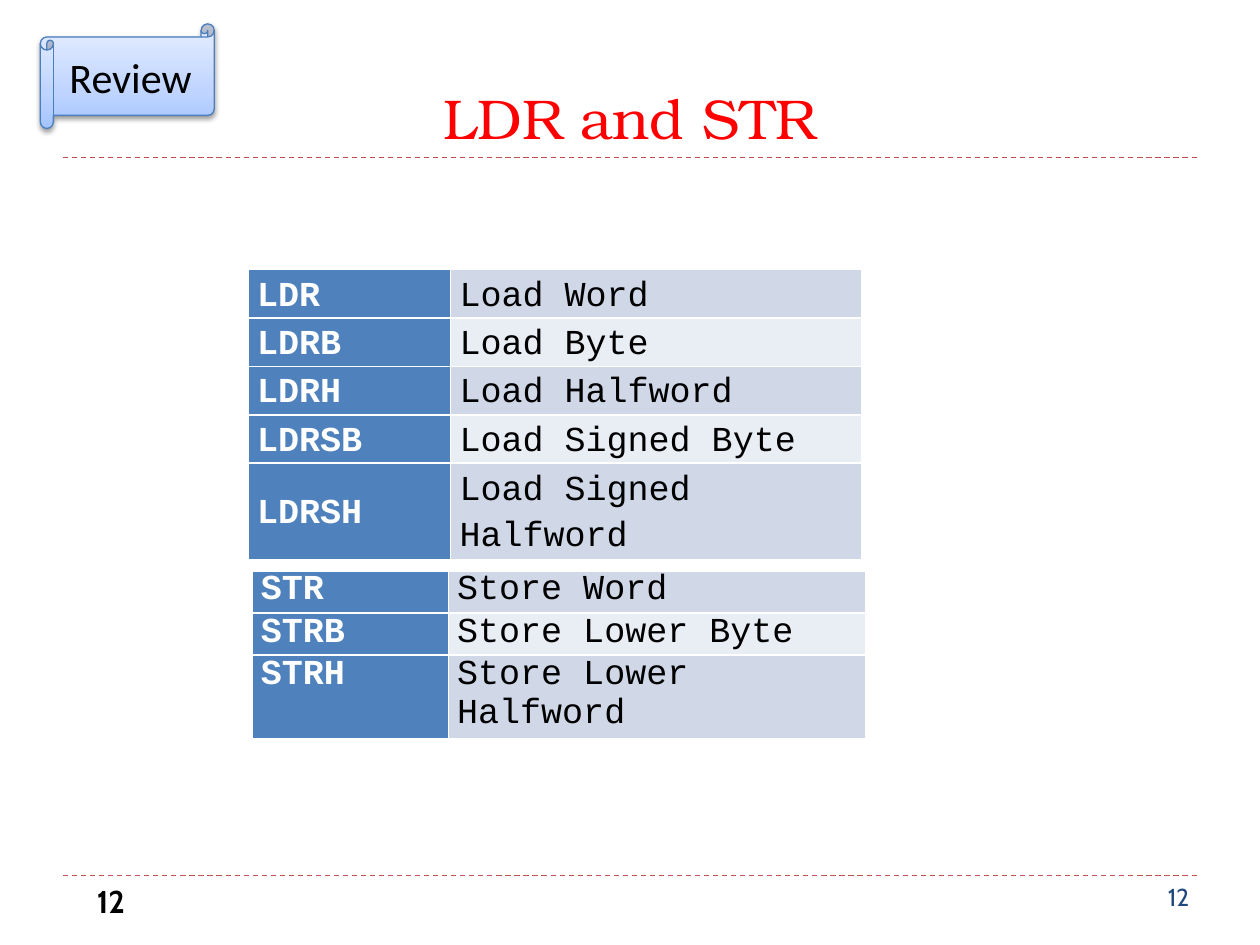
from lxml import etree
from pptx import Presentation
from pptx.dml.color import RGBColor
from pptx.enum.dml import MSO_LINE
from pptx.enum.shapes import MSO_CONNECTOR, MSO_SHAPE
from pptx.enum.text import MSO_ANCHOR, PP_ALIGN
from pptx.oxml import parse_xml
from pptx.oxml.ns import nsdecls, qn
from pptx.util import Inches, Pt

DASH = MSO_LINE.DASH
STRAIGHT = MSO_CONNECTOR.STRAIGHT
SCROLL = MSO_SHAPE.HORIZONTAL_SCROLL
TOP, MIDDLE, BOTTOM = MSO_ANCHOR.TOP, MSO_ANCHOR.MIDDLE, MSO_ANCHOR.BOTTOM
LEFT, CENTER = PP_ALIGN.LEFT, PP_ALIGN.CENTER

WIDTH, HEIGHT = Inches(10), Inches(7.5)
COLUMN, ROW = WIDTH // 100, HEIGHT // 75

COLORS = {
    "title": "FF0000", "rule": "C0504D", "number": "1F497D", "text": "000000",
    "white": "FFFFFF", "key": "4F81BD", "band": "D0D8E8", "light": "E9EDF4",
    "scroll_line": "4B7EBC", "scroll_low": "A4C4FF", "scroll_mid": "BFD4FF",
    "scroll_high": "E6EEFF",
}

LOADS = [("LDR", "Load Word"), ("LDRB", "Load Byte"), ("LDRH", "Load Halfword"),
         ("LDRSB", "Load Signed Byte"), ("LDRSH", "Load Signed Halfword")]
STORES = [("STR", "Store Word"), ("STRB", "Store Lower Byte"),
          ("STRH", "Store Lower Halfword")]


def color(name):
    return RGBColor.from_string(COLORS[name])


def place(left, top, width, height):
    return [round(left * COLUMN), round(top * ROW),
            round(width * COLUMN), round(height * ROW)]


def write(frame, text, *, font, size, ink="text", bold=False, align=LEFT,
          anchor=TOP, spacing=None):
    frame.word_wrap = True
    frame.vertical_anchor = anchor
    para = frame.paragraphs[0]
    para.alignment = align
    para.line_spacing = spacing
    span = para.add_run()
    span.text = text
    span.font.name = font
    span.font.size = Pt(size)
    span.font.bold = bold
    span.font.color.rgb = color(ink)


def add_title(page, box, text):
    title = page.shapes.title
    title.left, title.top, title.width, title.height = box
    write(title.text_frame, text, font="TeX Gyre Bonum", size=32, ink="title",
          align=CENTER, anchor=BOTTOM)


def add_rule(page, box):
    left, top, width, height = box
    rule = page.shapes.add_connector(STRAIGHT, left, top, left + width, top + height)
    rule.line.color.rgb = color("rule")
    rule.line.width = Pt(0.75)
    rule.line.dash_style = DASH
    etree.SubElement(rule._element.spPr, qn("a:effectLst"))


def add_number(page, box, text, **style):
    number = page.shapes.add_textbox(*box)
    write(number.text_frame, text, font="Cabin", **style)


def add_borders(cell):
    properties = cell._tc.get_or_add_tcPr()
    for position, side in enumerate(("lnL", "lnR", "lnT", "lnB")):
        properties.insert(position, parse_xml(
            f'<a:{side} {nsdecls("a")} w="12700"><a:solidFill>'
            f'<a:srgbClr val="{COLORS["white"]}"/></a:solidFill></a:{side}>'))


def add_instructions(page, box, entries, key_share, anchor, spacing=None):
    width, height = box[2:]
    table = page.shapes.add_table(len(entries), 2, *box).table
    table.first_row = table.horz_banding = False
    table.columns[0].width = round(width * key_share)
    table.columns[1].width = width - table.columns[0].width
    line_height = height // (len(entries) + 1)
    for index, entry in enumerate(entries):
        last = index == len(entries) - 1
        table.rows[index].height = line_height * (2 if last else 1)
        fills = ("key", "light" if index % 2 else "band")
        for column, text in enumerate(entry):
            cell = table.cell(index, column)
            cell.margin_left = cell.margin_right = round(0.7 * COLUMN)
            cell.margin_top = cell.margin_bottom = 0
            cell.fill.solid()
            cell.fill.fore_color.rgb = color(fills[column])
            add_borders(cell)
            is_key = column == 0
            write(cell.text_frame, text, font="Courier New", size=20,
                  ink="white" if is_key else "text", bold=is_key, spacing=spacing)
            cell.vertical_anchor = anchor


def add_scroll(page, box, text):
    scroll = page.shapes.add_shape(SCROLL, *box)
    scroll.line.color.rgb = color("scroll_line")
    scroll.line.width = Pt(0.75)
    stops = "".join(
        f'<a:gs pos="{share * 1000}"><a:srgbClr val="{COLORS[name]}"/></a:gs>'
        for share, name in ((0, "scroll_low"), (35, "scroll_mid"), (100, "scroll_high")))
    properties = scroll._element.spPr
    properties.find(qn("a:prstGeom")).addnext(parse_xml(
        f'<a:gradFill {nsdecls("a")} rotWithShape="1"><a:gsLst>{stops}</a:gsLst>'
        '<a:lin ang="16200000" scaled="1"/></a:gradFill>'))
    properties.append(parse_xml(
        f'<a:effectLst {nsdecls("a")}><a:outerShdw blurRad="40000" dist="20000" '
        f'dir="5400000" rotWithShape="0"><a:srgbClr val="{COLORS["text"]}">'
        '<a:alpha val="38000"/></a:srgbClr></a:outerShdw></a:effectLst>'))
    write(scroll.text_frame, text, font="Calibri", size=24, align=CENTER, anchor=MIDDLE)


def main():
    deck = Presentation()
    deck.slide_width, deck.slide_height = WIDTH, HEIGHT
    page = deck.slides.add_slide(deck.slide_layouts[5])
    for top in (69.5, 12.5):
        add_rule(page, place(5, top, 90, 0))
    add_number(page, place(91.7, 69.5, 8.3, 4), "12", size=14, ink="number")
    add_title(page, place(5, 1.7, 90, 10.8), "LDR and STR")
    add_number(page, place(6.7, 69.5, 21.7, 4), "12", size=18, bold=True)
    add_instructions(page, place(19.7, 21.4, 48.7, 21.7), LOADS, 0.33, MIDDLE, 1.15)
    add_instructions(page, place(20, 45.3, 48.7, 12.6), STORES, 0.32, TOP)
    add_scroll(page, place(3.2, 1.9, 13.8, 8.3), "Review")
    deck.save("out.pptx")


if __name__ == "__main__":
    main()
